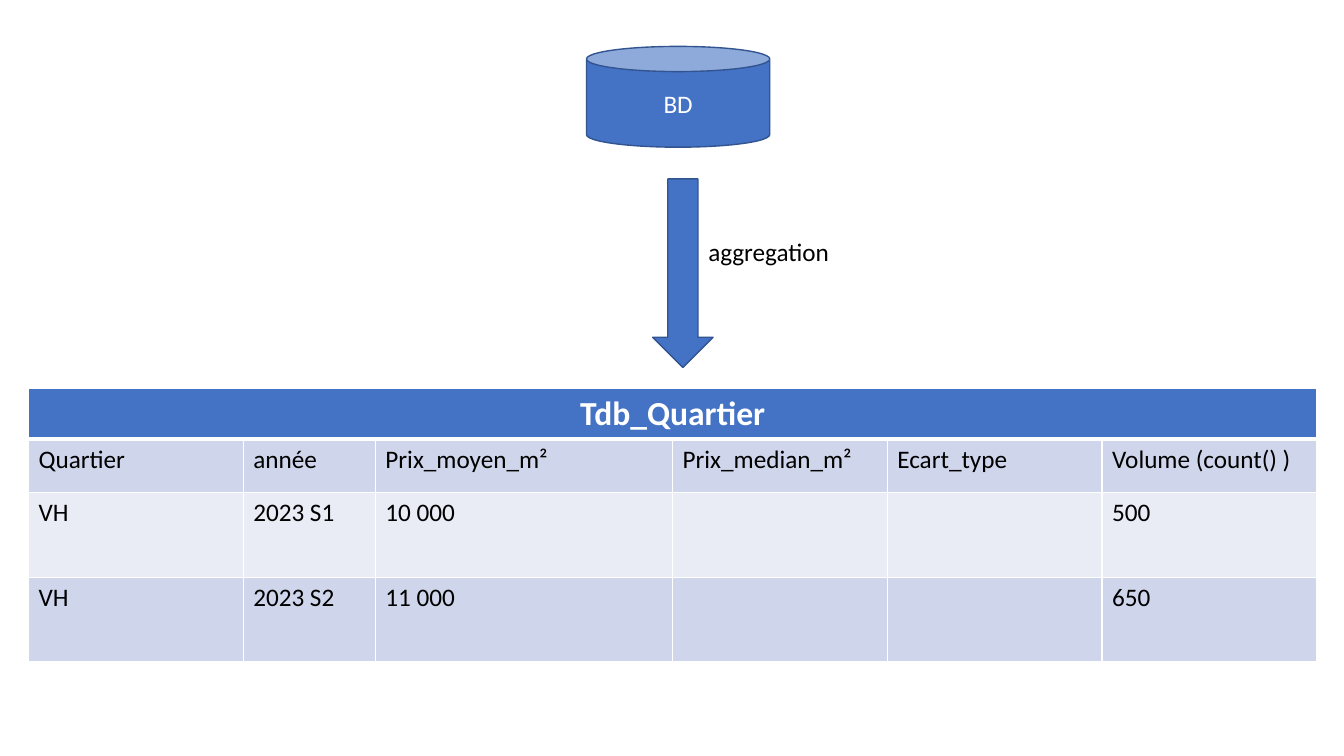
from lxml import etree
from pptx import Presentation
from pptx.dml.color import RGBColor
from pptx.enum import shapes, text
from pptx.oxml import ns
from pptx.util import Cm, Pt

BLUE = RGBColor(0x44, 0x72, 0xC4)
OUTLINE = RGBColor(0x32, 0x54, 0x91)
BAND_DARK = RGBColor(0xCF, 0xD5, 0xEA)
BAND_LIGHT = RGBColor(0xE9, 0xEB, 0xF5)
WHITE = RGBColor(0xFF, 0xFF, 0xFF)
BLACK = RGBColor(0, 0, 0)


def write(frame, words, size=18, color=BLACK, bold=False, align=text.PP_ALIGN.LEFT):
    paragraph = frame.paragraphs[0]
    paragraph.alignment = align
    run = paragraph.add_run()
    run.text = words
    run.font.name = "Calibri"
    run.font.size = Pt(size)
    run.font.bold = bold
    run.font.color.rgb = color


def style_cell(cell, color, bottom=1, top=1):
    cell.fill.solid()
    cell.fill.fore_color.rgb = color
    properties = cell._tc.get_or_add_tcPr()
    widths = {"lnL": 1, "lnR": 1, "lnT": top, "lnB": bottom}
    for position, (edge, width) in enumerate(widths.items()):
        border = etree.Element(ns.qn(f"a:{edge}"), w=str(Pt(width)))
        fill = etree.SubElement(border, ns.qn("a:solidFill"))
        etree.SubElement(fill, ns.qn("a:srgbClr"), val=str(WHITE))
        properties.insert(position, border)


prs = Presentation()
prs.slide_width = Cm(33.87)
prs.slide_height = Cm(19.05)
slide = prs.slides.add_slide(prs.slide_layouts[6])

columns = [5.41, 3.33, 7.49, 5.41, 5.41, 5.41]
row_heights = [1.24, 1.35, 2.13, 2.13]
records = [
    ["Quartier", "année", "Prix_moyen_m²", "Prix_median_m²", "Ecart_type", "Volume (count() )"],
    ["VH", "2023 S1", "10 000", "", "", "500"],
    ["VH", "2023 S2", "11 000", "", "", "650"],
]
dashboard = slide.shapes.add_table(
    len(row_heights), len(columns), Cm(0.72), Cm(9.78), Cm(sum(columns)), Cm(sum(row_heights))
).table
for column, width in zip(dashboard.columns, columns):
    column.width = Cm(width)
for row, height in zip(dashboard.rows, row_heights):
    row.height = Cm(height)

heading = dashboard.cell(0, 0)
heading.merge(dashboard.cell(0, len(columns) - 1))
heading.vertical_anchor = text.MSO_ANCHOR.MIDDLE
write(heading.text_frame, "Tdb_Quartier", size=24, color=WHITE, bold=True,
      align=text.PP_ALIGN.CENTER)
for cell in dashboard.rows[0].cells:
    style_cell(cell, BLUE, bottom=3)

for r, record in enumerate(records, start=1):
    for c, value in enumerate(record):
        cell = dashboard.cell(r, c)
        style_cell(cell, BAND_DARK if r % 2 else BAND_LIGHT, top=3 if r == 1 else 1)
        if value:
            write(cell.text_frame, value)

database = slide.shapes.add_shape(
    shapes.MSO_SHAPE.CAN, Cm(14.78), Cm(1.17), Cm(4.62), Cm(2.54))
flow = slide.shapes.add_shape(
    shapes.MSO_SHAPE.DOWN_ARROW, Cm(16.45), Cm(4.51), Cm(1.52), Cm(4.75))
for symbol in (database, flow):
    symbol.shadow.inherit = False
    symbol.fill.solid()
    symbol.fill.fore_color.rgb = BLUE
    symbol.line.color.rgb = OUTLINE
    symbol.line.width = Pt(1)
database.text_frame.vertical_anchor = text.MSO_ANCHOR.MIDDLE
write(database.text_frame, "BD", color=WHITE, align=text.PP_ALIGN.CENTER)

aggregation = slide.shapes.add_textbox(Cm(17.6), Cm(5.84), Cm(3.61), Cm(1.03)).text_frame
aggregation.word_wrap = False
aggregation.auto_size = text.MSO_AUTO_SIZE.SHAPE_TO_FIT_TEXT
write(aggregation, "aggregation")

prs.save("out.pptx")
